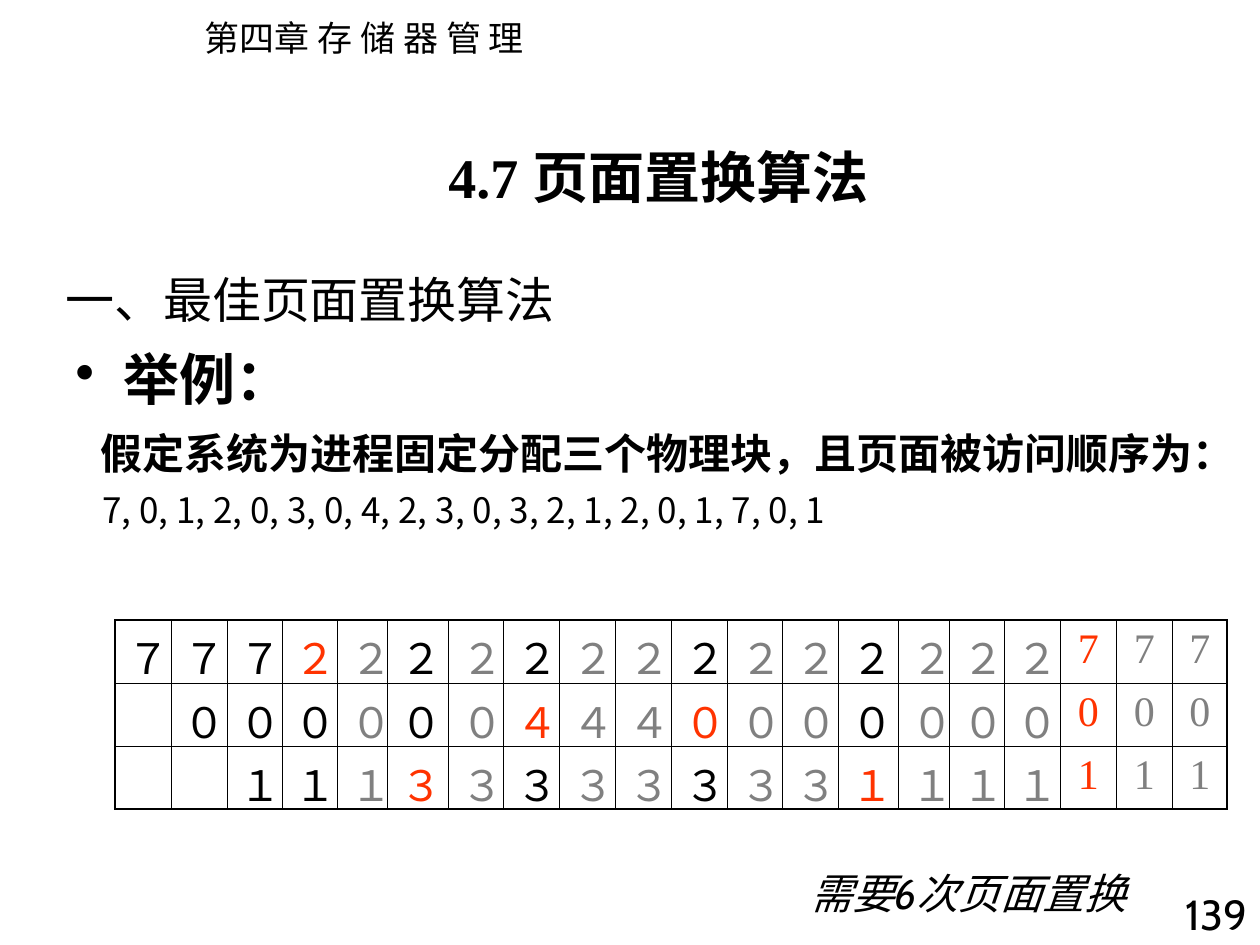
import pptx
import pptx.util
import pptx.dml.color
import pptx.enum.text
import pptx.oxml
import pptx.oxml.ns

PX = 914400 // 126
BLACK = pptx.dml.color.RGBColor(0, 0, 0)
RED = pptx.dml.color.RGBColor(0xFF, 0x33, 0)
GRAY = pptx.dml.color.RGBColor(0x80, 0x80, 0x80)
SANS, SERIF, CABIN = "Noto Sans CJK SC", "Times New Roman", "Cabin"
ALIGN = pptx.enum.text.PP_ALIGN
MIDDLE = pptx.enum.text.MSO_ANCHOR.MIDDLE

# Content: box in px, frame values, then paragraphs (text, font, paragraph values)
HEAD = [
    ((192, 10, 353, 55), {"word_wrap": False},
     [("第四章 存 储 器 管 理", {"name": SANS, "size": 20}, {})]),
    ((53, 252, 714, 94), {"vertical_anchor": MIDDLE},
     [("一、最佳页面置换算法", {"name": SANS, "size": 28}, {})]),
    ((1137, 882, 123, 70), {},
     [("139", {"name": CABIN, "size": 24}, {"alignment": ALIGN.RIGHT})]),
    ((63, 346, 1197, 242), {}, [
        ("举例：", {"name": SANS, "size": 32, "bold": True},
         {"line_spacing": 0.9, "bullet": 48}),
        ("假定系统为进程固定分配三个物理块，且页面被访问顺序为：",
         {"name": SANS, "size": 24, "bold": True},
         {"line_spacing": 0.9, "space_before": pptx.util.Pt(12), "left": 25}),
        ("7, 0, 1, 2, 0, 3, 0, 4, 2, 3, 0, 3, 2, 1, 2, 0, 1, 7, 0, 1",
         {"name": SANS, "size": 20},
         {"line_spacing": 0.9, "space_before": pptx.util.Pt(8), "left": 27}),
    ]),
]
FOOT = [
    ((798, 861, 378, 63), {},
     [("需要6次页面置换", {"name": CABIN, "size": 24, "italic": True}, {})]),
    ((436, 136, 471, 81), {"word_wrap": False},
     [("4.7 页面置换算法", {"name": SERIF, "size": 32, "bold": True}, {})]),
]

# Page held by each block after every access
BLOCKS = [
    "７７７２２２２２２２２２２２２２２777",
    " ０００００００４４４０００００００000"[:1] + "００００００４４４０００００００000",
    "  １１１３３３３３３３３１１１１111",
]
FAULTS = {0, 1, 2, 3, 5, 7, 10, 13, 17}
EDGES = [115, 171, 227, 282, 338, 388, 449, 504, 560, 616, 672,
         728, 783, 839, 899, 950, 1005, 1061, 1117, 1173, 1228]
TOP, ROW = 620, 63
THIN, THICK = 0.45, 1.08


def put(obj, vals):
    for key, val in vals.items():
        setattr(obj, key, val)


def style(run, font, color=BLACK):
    put(run.font, {**font, "size": pptx.util.Pt(font["size"])})
    run.font.color.rgb = color
    ea = pptx.oxml.parse_xml(
        f'<a:ea {pptx.oxml.ns.nsdecls("a")} typeface="{SANS}"/>')
    run.font._element.append(ea)


def indent(para, left, bullet):
    props = para._p.get_or_add_pPr()
    props.set("marL", str((left or bullet) * PX))
    props.set("indent", str(-bullet * PX))
    if bullet:
        props.append(pptx.oxml.parse_xml(
            f'<a:buChar {pptx.oxml.ns.nsdecls("a")} char="•"/>'))


def write(slide, box, frame, paras):
    text = slide.shapes.add_textbox(*(n * PX for n in box)).text_frame
    put(text, {"word_wrap": True, **frame})
    for i, (words, font, vals) in enumerate(paras):
        para = text.add_paragraph() if i else text.paragraphs[0]
        vals = dict(vals)
        indent(para, vals.pop("left", 0), vals.pop("bullet", 0))
        put(para, vals)
        run = para.add_run()
        run.text = words
        style(run, font)


def border(cell, sides):
    props = cell._tc.get_or_add_tcPr()
    for side, outer in sides.items():
        width = pptx.util.Pt(THICK if outer else THIN)
        props.append(pptx.oxml.parse_xml(
            f'<a:ln{side} {pptx.oxml.ns.nsdecls("a")} w="{width}"><a:solidFill>'
            f'<a:srgbClr val="{BLACK}"/></a:solidFill></a:ln{side}>'))
    cell.fill.background()


def shade(row, col):
    if col >= 3 and row[col] != row[col - 1]:
        return RED
    return BLACK if col in FAULTS else GRAY


def grid(slide):
    rows, cols = len(BLOCKS), len(EDGES) - 1
    table = slide.shapes.add_table(
        rows, cols, EDGES[0] * PX, TOP * PX,
        (EDGES[-1] - EDGES[0]) * PX, rows * ROW * PX).table
    put(table, {"first_row": False, "horz_banding": False})
    for c in range(cols):
        table.columns[c].width = (EDGES[c + 1] - EDGES[c]) * PX
    for r, pages in enumerate(BLOCKS):
        table.rows[r].height = ROW * PX
        for c, page in enumerate(pages):
            cell = table.cell(r, c)
            border(cell, {"L": c == 0, "R": c == cols - 1,
                          "T": r == 0, "B": r == rows - 1})
            if page != " ":
                para = cell.text_frame.paragraphs[0]
                para.alignment = ALIGN.CENTER
                run = para.add_run()
                run.text = page
                style(run, {"name": SERIF, "size": 24}, shade(pages, c))


def main():
    deck = pptx.Presentation()
    put(deck, {"slide_width": 1260 * PX, "slide_height": 945 * PX})
    slide = deck.slides.add_slide(deck.slide_layouts[6])
    # Headings and text, then the block table, then result and title
    for item in HEAD:
        write(slide, *item)
    grid(slide)
    for item in FOOT:
        write(slide, *item)
    deck.save("out.pptx")


if __name__ == "__main__":
    main()
